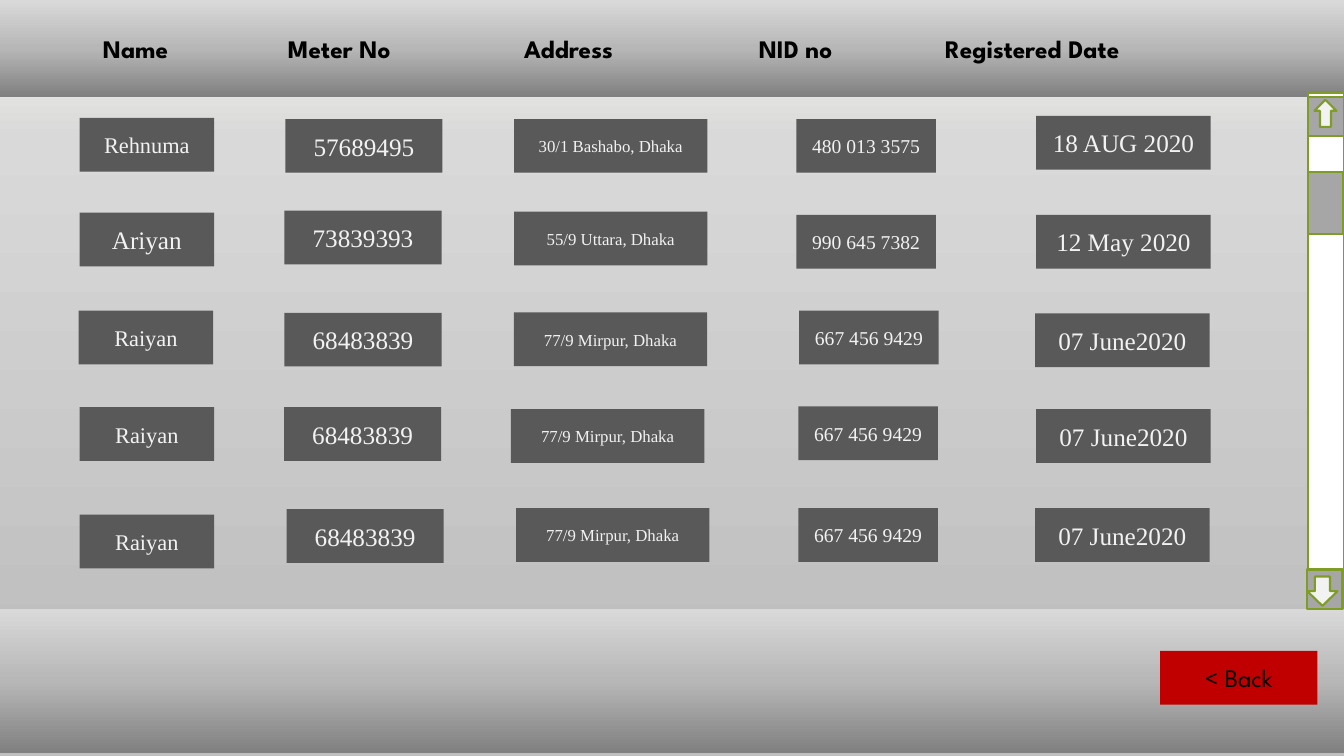
from dataclasses import dataclass

from lxml.etree import SubElement
from pptx import Presentation
from pptx.dml.color import RGBColor as Rgb
from pptx.enum.shapes import MSO_SHAPE as Kind
from pptx.enum.text import MSO_ANCHOR as Anchor, PP_ALIGN as Align
from pptx.oxml.ns import qn
from pptx.util import Pt

HUES = {
    "cell": "595959", "pale": "F2F2F2", "ink": "000000", "red": "C00000",
    "white": "FFFFFF", "grey": "A6A6A6", "green": "7F9D26",
}
BAND = [(0, "808080"), (50, "B7B7B7"), (100, "D9D9D9")]
BACK = [(0, "FBFDF5"), (18, "D9D9D9"), (85, "BFBFBF")]
WIDE, HIGH = 960, 540
TALL = 38.4
HEAD, BODY = "League Spartan", "Times New Roman"


@dataclass
class Box:
    left: float
    top: float
    width: float
    height: float


@dataclass
class Field:
    width: float
    size: float


@dataclass
class Cell:
    text: str
    left: float
    top: float


@dataclass
class Part:
    box: Box
    hue: str
    kind: Kind = Kind.RECTANGLE
    turn: float = 0


@dataclass
class Title:
    text: str
    left: float


FIELDS = [Field(96, 16), Field(112.3, 18), Field(138.2, 12),
          Field(99.7, 14), Field(124.6, 18)]
ROWS = [
    [Cell("Rehnuma", 56.9, 84.2), Cell("57689495", 203.8, 85),
     Cell("30/1 Bashabo, Dhaka", 367.2, 85), Cell("480 013 3575", 568.8, 85),
     Cell("18 AUG 2020", 740.2, 82.8)],
    [Cell("Ariyan", 56.9, 151.9), Cell("73839393", 203.2, 150.5),
     Cell("55/9 Uttara, Dhaka", 367.2, 151.2),
     Cell("990 645 7382", 568.8, 153.4), Cell("12 May 2020", 740.2, 153.4)],
    [Cell("Raiyan", 56.2, 221.8), Cell("68483839", 203.2, 223.4),
     Cell("77/9 Mirpur, Dhaka", 367, 223.2),
     Cell("667 456 9429", 570.8, 221.8), Cell("07 June2020", 739.4, 223.9)],
    [Cell("Raiyan", 56.9, 290.9), Cell("68483839", 202.9, 290.9),
     Cell("77/9 Mirpur, Dhaka", 365, 292.3),
     Cell("667 456 9429", 570.2, 290.2), Cell("07 June2020", 740.2, 292.3)],
    [Cell("Raiyan", 56.9, 367.5), Cell("68483839", 204.7, 363.6),
     Cell("77/9 Mirpur, Dhaka", 368.6, 362.9),
     Cell("667 456 9429", 570.2, 362.9), Cell("07 June2020", 739.4, 362.9)],
]
LARGE = {"Ariyan": 18}
TITLES = [Title("Name", 73.5), Title("Meter No", 205.7),
          Title("Address", 374.3), Title("NID no", 542),
          Title("Registered Date", 675)]
SCROLL = [
    Part(Box(934.6, 66.2, 25.2, 365.8), "white"),
    Part(Box(934.6, 69.1, 25.2, 28), "grey"),
    Part(Box(933.8, 406.8, 25.2, 28), "grey"),
    Part(Box(938.9, 71.3, 15.8, 19.4), "pale", Kind.UP_ARROW),
    Part(Box(933.8, 411.8, 21.6, 20.9), "pale", Kind.UP_ARROW, 180),
    Part(Box(934.6, 123.1, 24.5, 43.9), "grey"),
]


def tint(name: str) -> Rgb:
    return Rgb.from_string(HUES[name])


def grade(fill, root, stops: list, angle: int) -> None:
    """Fill with a linear gradient; the angle runs clockwise."""
    fill.gradient()
    fill.gradient_angle = (360 - angle) % 360
    group = root.find(".//" + qn("a:gradFill")).find(qn("a:gsLst"))
    for old in list(group):
        group.remove(old)
    for place, code in stops:
        stop = SubElement(group, qn("a:gs"), pos=str(place * 1000))
        SubElement(stop, qn("a:srgbClr"), val=code)


def draw(slide, box: Box, hue: str = "", edge: str = "",
         kind: Kind = Kind.RECTANGLE, turn: float = 0):
    shape = slide.shapes.add_shape(
        kind, Pt(box.left), Pt(box.top), Pt(box.width), Pt(box.height))
    shape.shadow.inherit = False
    shape.rotation = turn
    if hue:
        shape.fill.solid()
        shape.fill.fore_color.rgb = tint(hue)
    else:
        grade(shape.fill, shape._element, BAND, 270)
    if edge:
        shape.line.color.rgb = tint(edge)
        shape.line.width = Pt(1.5)
    else:
        shape.line.fill.background()
    return shape


def write(shape, text: str, size: float = 18, face: str = BODY,
          hue: str = "pale", bold: bool = False, align: Align = Align.CENTER,
          rim: float = 0) -> None:
    """Set the shape's text; rim is the width of the letter outline."""
    frame = shape.text_frame
    frame.word_wrap = True
    frame.vertical_anchor = Anchor.MIDDLE
    para = frame.paragraphs[0]
    para.alignment = align
    run = para.add_run()
    run.text = text
    font = run.font
    font.name, font.size, font.bold = face, Pt(size), bold
    font.color.rgb = tint(hue)
    if rim:
        props = run._r.get_or_add_rPr()
        line = SubElement(props, qn("a:ln"), w=str(Pt(rim)))
        fill = SubElement(line, qn("a:solidFill"))
        SubElement(fill, qn("a:srgbClr"), val=HUES[hue])
        props.insert(0, line)


def header(slide) -> None:
    """Draw the top band, with its titles set on tab stops."""
    band = draw(slide, Box(0, 0, WIDE, 69.1))
    write(band, "\t".join(t.text for t in TITLES), face=HEAD, hue="ink",
          bold=True, align=Align.LEFT)
    start = TITLES[0].left
    band.text_frame.margin_left = Pt(start)
    props = band.text_frame.paragraphs[0]._p.get_or_add_pPr()
    tabs = SubElement(props, qn("a:tabLst"))
    for title in TITLES[1:]:
        SubElement(tabs, qn("a:tab"), pos=str(Pt(title.left - start)), algn="l")


def main() -> None:
    deck = Presentation()
    deck.slide_width, deck.slide_height = Pt(WIDE), Pt(HIGH)
    slide = deck.slides.add_slide(deck.slide_layouts[6])
    grade(slide.background.fill, slide._element, BACK, 90)
    draw(slide, Box(0, 434.9, WIDE, 103))
    header(slide)
    for row in ROWS:
        for field, cell in zip(FIELDS, row):
            box = Box(cell.left, cell.top, field.width, TALL)
            write(draw(slide, box, "cell"), cell.text,
                  size=LARGE.get(cell.text, field.size))
    back = draw(slide, Box(828.7, 465, 112.3, TALL), "red")
    write(back, "< Back", face=HEAD, hue="ink", rim=0.75)
    for part in SCROLL:
        draw(slide, part.box, part.hue, "green", part.kind, part.turn)
    deck.save("out.pptx")


if __name__ == "__main__":
    main()
